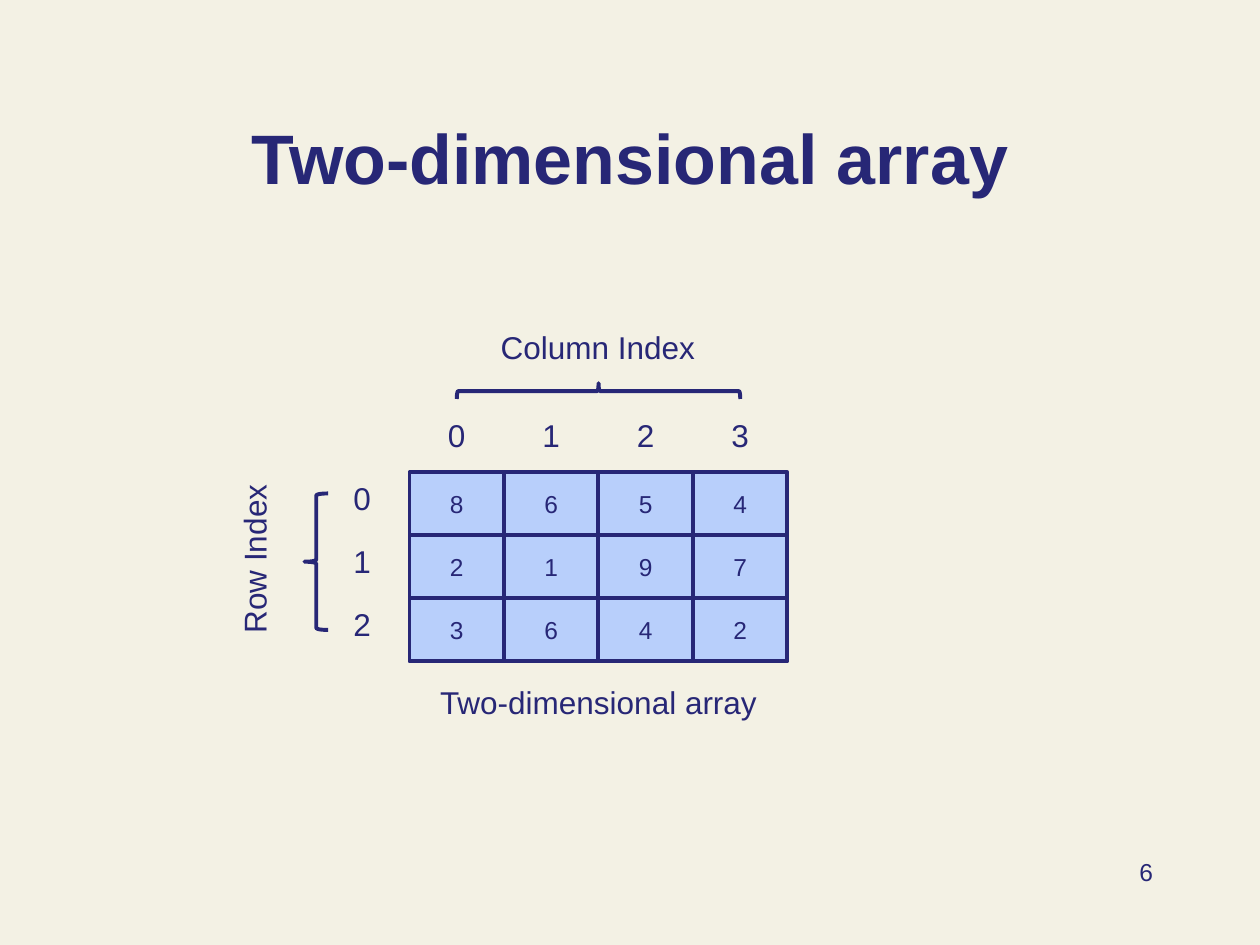
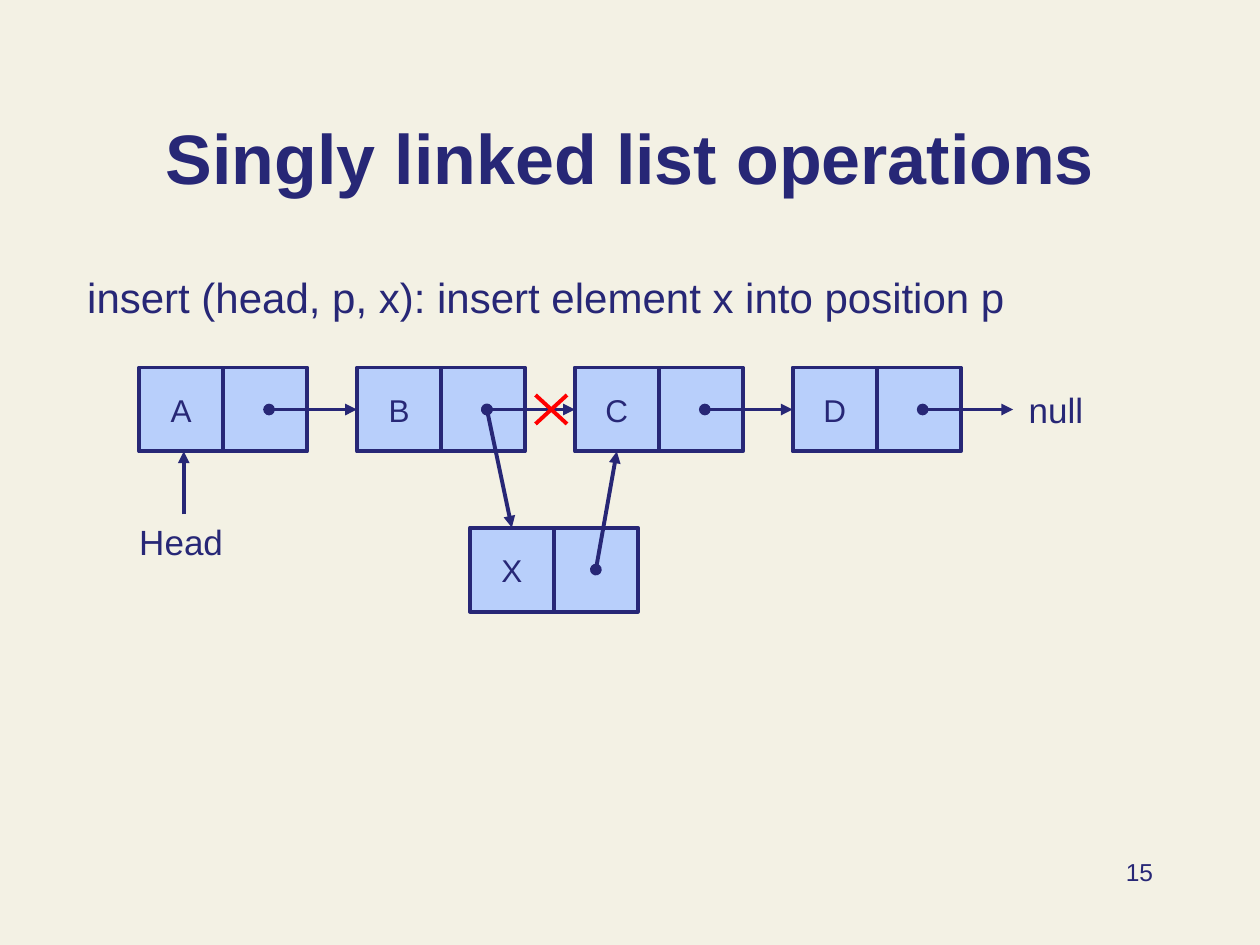
from pptx import Presentation
from pptx.dml.color import RGBColor
from pptx.enum.shapes import MSO_CONNECTOR, MSO_SHAPE
from pptx.enum.text import MSO_ANCHOR, PP_ALIGN
from pptx.oxml.ns import qn
from lxml.etree import SubElement

PX = 9525
NAVY = RGBColor(0x27, 0x27, 0x76)
SKY = RGBColor(0xB8, 0xCF, 0xFB)
CREAM = RGBColor(0xF3, 0xF1, 0xE4)
RED = RGBColor(0xFF, 0x00, 0x00)
LINE = 28575
PT = 12700


def add_box(s, x, y, w, h, text="", size=18, shape=None, align=PP_ALIGN.CENTER,
            anchor=MSO_ANCHOR.TOP, bold=False):
    frame = [v * PX for v in (x, y, w, h)]
    if shape is None:
        sp = s.shapes.add_textbox(*frame)
    else:
        sp = s.shapes.add_shape(shape, *frame)
        sp.shadow.inherit = False
        sp.line.color.rgb = NAVY
        sp.line.width = LINE
        if shape == MSO_SHAPE.RECTANGLE:
            sp.fill.solid()
            sp.fill.fore_color.rgb = SKY
            anchor = MSO_ANCHOR.MIDDLE
        else:
            sp.fill.background()
            sp.adjustments[0] = 0.08
    if text:
        tf = sp.text_frame
        tf.word_wrap = align != PP_ALIGN.CENTER
        tf.vertical_anchor = anchor
        p = tf.paragraphs[0]
        p.text = text
        p.alignment = align
        p.font.name = "Arial"
        p.font.size = size * PT
        p.font.bold = bold
        p.font.color.rgb = NAVY
    return sp


def add_line(s, x1, y1, x2, y2, color=NAVY, head=None, tail=None):
    c = s.shapes.add_connector(MSO_CONNECTOR.STRAIGHT, x1 * PX, y1 * PX, x2 * PX, y2 * PX)
    c.line.color.rgb = color
    c.line.width = LINE
    spPr = c._element.spPr
    ln = spPr.find(qn("a:ln"))
    for tag, kind in (("a:headEnd", head), ("a:tailEnd", tail)):
        if kind:
            SubElement(ln, qn(tag), type=kind)
    SubElement(spPr, qn("a:effectLst"))
    return c


prs = Presentation()
prs.slide_width = 960 * PX
prs.slide_height = 720 * PX
fill = prs.slide_master.background.fill
fill.solid()
fill.fore_color.rgb = CREAM

slides = []
for title, number in (("Two-dimensional array", "6"), ("Singly linked list operations", "15")):
    s = prs.slides.add_slide(prs.slide_layouts[6])
    add_box(s, 72, 52, 816, 104, title, 40, anchor=MSO_ANCHOR.BOTTOM, bold=True)
    add_box(s, 688, 648, 200, 48, number, 14, align=PP_ALIGN.RIGHT)
    slides.append(s)
array_slide, list_slide = slides

s = array_slide
left, top, cell_w, cell_h = 312, 360, 72, 48
values = ((8, 6, 5, 4), (2, 1, 9, 7), (3, 6, 4, 2))
for row, row_values in enumerate(values):
    y = top + row * cell_h
    add_box(s, left - cell_w, y, cell_w, cell_h, str(row))
    for col, value in enumerate(row_values):
        add_box(s, left + col * cell_w, y, cell_w, cell_h, str(value), 14, MSO_SHAPE.RECTANGLE)
for col in range(4):
    add_box(s, left + col * cell_w, top - cell_h, cell_w, cell_h, str(col))
add_box(s, left, 516, 4 * cell_w, 38, "Two-dimensional array")
add_box(s, 232, 376, 18, 104, shape=MSO_SHAPE.LEFT_BRACE)
column_brace = add_box(s, 450, 190, 12, 216, shape=MSO_SHAPE.LEFT_BRACE)
column_brace.rotation = 90
add_box(s, 372, 245, 167, 38, "Column Index")
row_label = add_box(s, 127, 407, 133, 38, "Row Index")
row_label.rotation = 270

s = list_slide
add_box(s, 57, 202, 831, 86, "insert (head, p, x): insert element x into position p", 24,
        align=PP_ALIGN.LEFT)
side, node_y, step = 64, 280, 166
mid_y = node_y + side // 2
nodes = {}
positions = [(name, 106 + i * step, node_y) for i, name in enumerate("ABCD")]
for name, x, y in positions + [("X", 358, 402)]:
    nodes[name] = add_box(s, x, y, side, side, name, shape=MSO_SHAPE.RECTANGLE)
    add_box(s, x + side, y, side, side, shape=MSO_SHAPE.RECTANGLE)
for (name, x, y), following in zip(positions, ("B", "C", "D", None)):
    c = add_line(s, x + 99, mid_y, x + 168, mid_y, head="oval", tail="triangle")
    if following:
        c.end_connect(nodes[following], 1)
add_box(s, 774, 291, 61, 74, "null", 20)
add_box(s, 96, 392, 84, 42, "Head", 20)
add_line(s, 140, 392, 140, node_y + side, tail="triangle")
add_line(s, 408, 301, 432, 323, RED)
add_line(s, 432, 301, 408, 323, RED)
to_x = add_line(s, 371, mid_y, 390, 402, head="oval", tail="triangle")
to_x.end_connect(nodes["X"], 0)
to_c = add_line(s, 454, 434, 470, 344, head="oval", tail="triangle")
to_c.end_connect(nodes["C"], 2)

prs.save("out.pptx")
